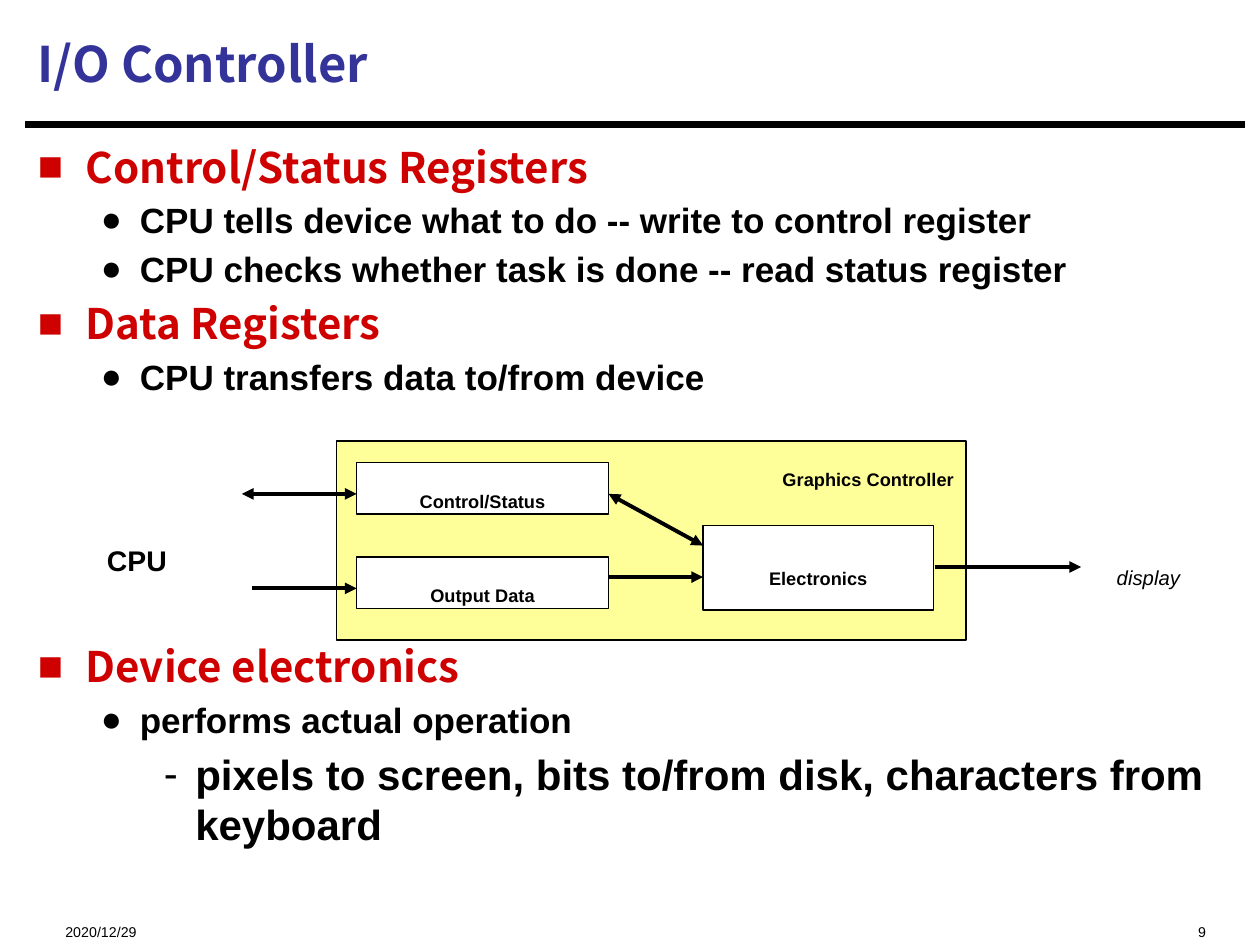
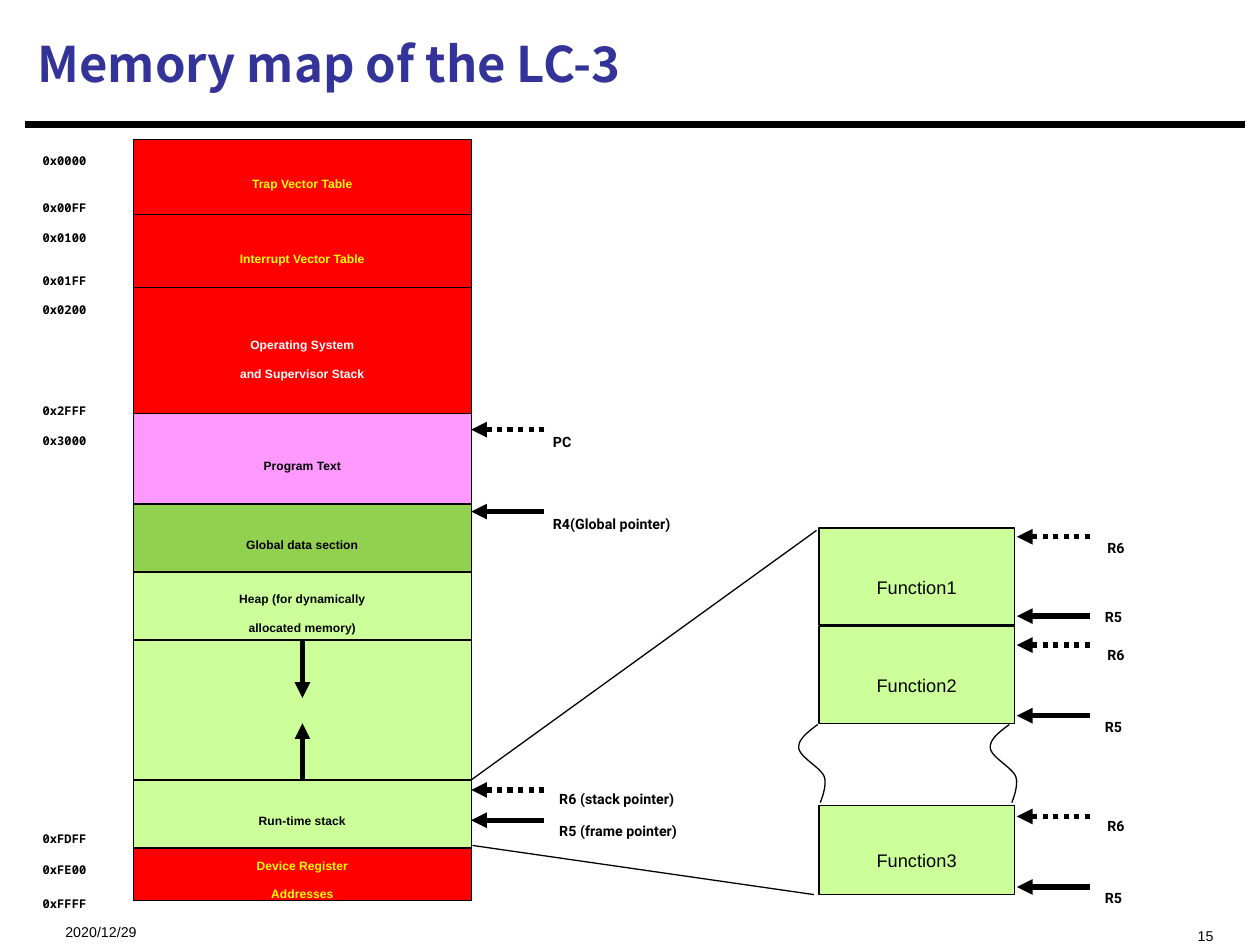
from lxml import etree
from pptx import Presentation
from pptx.dml.color import RGBColor
from pptx.enum import dml, shapes, text
from pptx.oxml.ns import qn
from pptx import util as u

# ---- Shared look ----
C = dict(ink="000000", title="333399", head="CE0000", paper="FFFFFF",
         panel="FFFF99", system="FF0000", vector="FFFF00", program="FF99FF",
         data="92D050", stack="CCFF99")
ARIAL, NOTO, MONO, ROBOTO = "Arial", "Noto Sans CJK SC", "Noto Sans Mono", "Roboto"
DATE = "2020/12/29"
LEFT, WIDTH = 0.2, 9.67
TOP, MIDDLE = text.MSO_ANCHOR.TOP, text.MSO_ANCHOR.MIDDLE
AL, AC, AR = text.PP_ALIGN.LEFT, text.PP_ALIGN.CENTER, text.PP_ALIGN.RIGHT

# ---- Slide 1: I/O controller ----
# level: indent, hanging, bullet, size, font, colour
LEVELS = [(0.38, 0.38, "■", 24, NOTO, "head"),
          (0.81, 0.31, "●", 20, ARIAL, "ink"),
          (1.25, 0.25, "-", 24, ARIAL, "ink")]
DIAGRAM_GAP = 139  # points kept free above the paragraph below the diagram
# level, wording, points before (None for the usual share of the line)
OUTLINE = [
    (0, "Control/Status Registers", None),
    (1, "CPU tells device what to do -- write to control register", None),
    (1, "CPU checks whether task is done -- read status register", None),
    (0, "Data Registers", None),
    (1, "CPU transfers data to/from device", None),
    (0, "Device electronics", DIAGRAM_GAP),
    (1, "performs actual operation", None),
    (2, "pixels to screen, bits to/from disk, characters from keyboard", None),
]
CONTROLLER = (2.67, 3.5, 5, 1.58)
UNITS = [("Control/Status", (2.83, 3.67, 2, 0.41), TOP),
         ("Output Data", (2.83, 4.42, 2, 0.41), TOP),
         ("Electronics", (5.58, 4.17, 1.83, 0.67), MIDDLE)]
# start, end, both ends
SIGNALS = [((7.42, 4.5), (8.58, 4.5), False), ((2, 4.67), (2.83, 4.67), False),
           ((1.92, 3.92), (2.83, 3.92), True), ((4.83, 4.58), (5.58, 4.58), False),
           ((4.83, 3.92), (5.58, 4.33), True)]

# ---- Slide 2: memory map ----
MAP_X, MAP_W = 1.06, 2.68
# lines, top, height, fill, text colour
SEGMENTS = [
    ([], 5.03, 1.16, "stack", "ink"),
    (["Device Register", "Addresses"], 6.7, 0.45, "system", "vector"),
    (["Trap Vector Table"], 1.11, 0.59, "system", "vector"),
    (["Interrupt Vector Table"], 1.7, 0.59, "system", "vector"),
    (["Operating System", "and Supervisor Stack"], 2.28, 1.03, "system", "paper"),
    (["Run-time stack"], 6.19, 0.54, "stack", "ink"),
    (["Program Text"], 3.28, 0.72, "program", "ink"),
    (["Global data section"], 4, 0.54, "data", "ink"),
    (["Heap (for dynamically", "allocated memory)"], 4.54, 0.54, "stack", "ink"),
]
ADDRESSES = [("0x0000", 1.06), ("0x00FF", 1.43), ("0x0100", 1.67), ("0x01FF", 2.01),
             ("0x0200", 2.24), ("0x2FFF", 3.04), ("0x3000", 3.28), ("0xFDFF", 6.44),
             ("0xFE00", 6.68), ("0xFFFF", 6.95)]
POINTER_W = 0.58
# label, label left, label top, arrow tip left, arrow height, dotted
POINTERS = [("PC", 4.29, 3.26, 3.74, 3.41, True),
            ("R4(Global pointer)", 4.29, 3.91, 3.74, 4.06, False),
            ("R6 (stack pointer)", 4.34, 6.09, 3.74, 6.27, True),
            ("R5 (frame pointer)", 4.34, 6.35, 3.74, 6.51, False)]
FRAME_X, FRAME_W, FRAME_TIP = 6.5, 1.55, 8.07
# name, top, height, (R6 arrow, R6 label), (R5 arrow, R5 label)
FRAMES = [("Function1", 4.19, 0.77, (4.26, 4.1), (4.89, 4.65)),
          ("Function2", 4.97, 0.77, (5.12, 4.95), (5.68, 5.52)),
          ("Function3", 6.39, 0.71, (6.48, 6.31), (7.04, 6.88))]
for _, _, _, r6, r5 in FRAMES:
    POINTERS += [("R6", 8.69, r6[1], FRAME_TIP, r6[0], True),
                 ("R5", 8.67, r5[1], FRAME_TIP, r5[0], False)]
GROWTH = [((2.4, 5.09), (2.4, 5.54)), ((2.4, 6.19), (2.4, 5.74))]
ZOOM = [((3.74, 6.19), (6.48, 4.21)), ((3.75, 6.71), (6.46, 7.1))]
# Bezier points of the break between frames
BREAK = [(6.49, 5.75), (6.41, 5.81), (6.33, 5.87), (6.34, 5.94), (6.35, 6.01),
         (6.51, 6.09), (6.54, 6.16), (6.57, 6.23), (6.51, 6.37), (6.51, 6.37)]
BREAK_STEP = 1.52


# ---- Helpers ----
def rgb(name):
    return RGBColor.from_string(C[name])


def inches(*values):
    return [u.Inches(v) for v in values]


def add_run(p, words, size, font, color="ink", bold=True, italic=False, lowered=True):
    r = p.add_run()
    r.text = words
    f = r.font
    f.size, f.name, f.bold, f.italic = u.Pt(size), font, bold, italic
    f.color.rgb = rgb(color)
    if lowered:
        r._r.get_or_add_rPr().set("baseline", "-25000")


def write(sp, lines, size, font=ARIAL, align=AL, anchor=TOP, wrap=True, **style):
    tf = sp.text_frame
    tf.word_wrap, tf.vertical_anchor = wrap, anchor
    for i, words in enumerate(lines):
        p = tf.add_paragraph() if i else tf.paragraphs[0]
        p.alignment = align
        add_run(p, words, size, font, **style)


def label(s, words, at, size, **style):
    write(s.shapes.add_textbox(*inches(*at)), [words], size, **style)


def box(s, at, fill, width):
    sp = s.shapes.add_shape(shapes.MSO_SHAPE.RECTANGLE, *inches(*at))
    sp.shadow.inherit = False
    sp.fill.solid()
    sp.fill.fore_color.rgb = rgb(fill)
    sp.line.color.rgb, sp.line.width = rgb("ink"), u.Pt(width)
    return sp


def line(s, start, end, width, ends=(), dotted=False):
    c = s.shapes.add_connector(shapes.MSO_CONNECTOR.STRAIGHT, *inches(*start, *end))
    c.line.color.rgb, c.line.width = rgb("ink"), u.Pt(width)
    if dotted:
        c.line.dash_style = dml.MSO_LINE.ROUND_DOT
    for end_name in ends:
        etree.SubElement(c.line._get_or_add_ln(), qn("a:" + end_name), type="triangle")
    etree.SubElement(c._element.spPr, qn("a:effectLst"))


def place(sp, at):
    sp.left, sp.top, sp.width, sp.height = inches(*at)
    sp.text_frame.auto_size = text.MSO_AUTO_SIZE.NONE


def new_slide(prs, layout, title, number, number_at):
    s = prs.slides.add_slide(prs.slide_layouts[layout])
    line(s, (LEFT, 0.99), (9.88, 0.99), 3.75)
    place(s.shapes.title, (LEFT, 0.08, WIDTH, 0.84))
    write(s.shapes.title, [title], 28, NOTO, anchor=MIDDLE, color="title", lowered=False)
    label(s, DATE, (0.42, 7.15, 2.5, 0.27), 14, bold=False)
    label(s, number, (*number_at, 3, 0.27), 14, align=AR, bold=False)
    return s


def outline(sp):
    place(sp, (LEFT, 1.07, WIDTH, 5.99))
    tf = sp.text_frame
    tf.vertical_anchor = TOP
    for i, (level, words, before) in enumerate(OUTLINE):
        indent, hang, bullet, size, font, color = LEVELS[level]
        p = tf.add_paragraph() if i else tf.paragraphs[0]
        p.level = level
        pPr = p._p.get_or_add_pPr()
        pPr.set("marL", str(u.Inches(indent)))
        pPr.set("indent", str(-u.Inches(hang)))
        gap = etree.SubElement(pPr, qn("a:spcBef"))
        if before:
            etree.SubElement(gap, qn("a:spcPts"), val=str(before * 100))
        else:
            etree.SubElement(gap, qn("a:spcPct"), val="20000")
        etree.SubElement(pPr, qn("a:buFont"), typeface=ARIAL)
        etree.SubElement(pPr, qn("a:buChar"), char=bullet)
        add_run(p, words, size, font, color, lowered=False)


def bezier(points, steps=12):
    """Points along a chain of cubic curves."""
    out = [points[0]]
    for k in range(0, len(points) - 1, 3):
        a, b, c, d = points[k:k + 4]
        for n in range(1, steps + 1):
            t = n / steps
            w = ((1 - t) ** 3, 3 * t * (1 - t) ** 2, 3 * t * t * (1 - t), t ** 3)
            out.append(tuple(sum(m * q[j] for m, q in zip(w, (a, b, c, d)))
                             for j in (0, 1)))
    return out


def wave(s, shift):
    pts = [inches(x + shift, y) for x, y in bezier(BREAK)]
    fb = s.shapes.build_freeform(*pts[0])
    fb.add_line_segments(pts[1:], close=False)
    sp = fb.convert_to_shape()
    sp.shadow.inherit = False
    sp.fill.background()
    sp.line.color.rgb, sp.line.width = rgb("ink"), u.Pt(0.75)


# ---- Slides ----
def io_controller(prs):
    s = new_slide(prs, 1, "I/O Controller", "9", (6.67, 7.15))
    outline(s.placeholders[1])
    box(s, CONTROLLER, "panel", 1)
    label(s, "Graphics Controller", (4.92, 3.5, 2.75, 0.4), 18, align=AR)
    for name, at, anchor in UNITS:
        write(box(s, at, "paper", 1), [name], 18, align=AC, anchor=anchor)
    for start, end, both in SIGNALS:
        line(s, start, end, 2.25, ("headEnd", "tailEnd") if both else ("tailEnd",))
    label(s, "CPU", (0.75, 4, 1.02, 0.57), 28)
    label(s, "display", (8.58, 4.25, 1.07, 0.43), 20, align=AC, bold=False, italic=True)


def memory_map(prs):
    s = new_slide(prs, 5, "Memory map of the LC-3", "15", (6.73, 7.18))
    for lines, top, height, fill, color in SEGMENTS:
        write(box(s, (MAP_X, top, MAP_W, height), fill, 0.75), lines, 12,
              align=AC, anchor=MIDDLE, wrap=False, color=color)
    for words, top in ADDRESSES:
        label(s, words, (0.24, top, 0.81, 0.3), 12, font=MONO)
    for start, end in GROWTH:
        line(s, start, end, 3, ("tailEnd",))
    for name, top, height, _, _ in FRAMES:
        write(box(s, (FRAME_X, top, FRAME_W, height), "stack", 0.75), [name], 18,
              align=AC, anchor=MIDDLE, bold=False)
    for shift in (0, BREAK_STEP):
        wave(s, shift)
    for words, x, top, tip, y, dotted in POINTERS:
        line(s, (tip + POINTER_W, y), (tip, y), 3, ("tailEnd",), dotted)
        label(s, words, (x, top, 0.49 if len(words) < 3 else 1.73, 0.34), 14, font=ROBOTO)
    for start, end in ZOOM:
        line(s, start, end, 0.75)


def main():
    prs = Presentation()
    prs.slide_width, prs.slide_height = inches(10, 7.5)
    io_controller(prs)
    memory_map(prs)
    prs.save("out.pptx")


if __name__ == "__main__":
    main()
